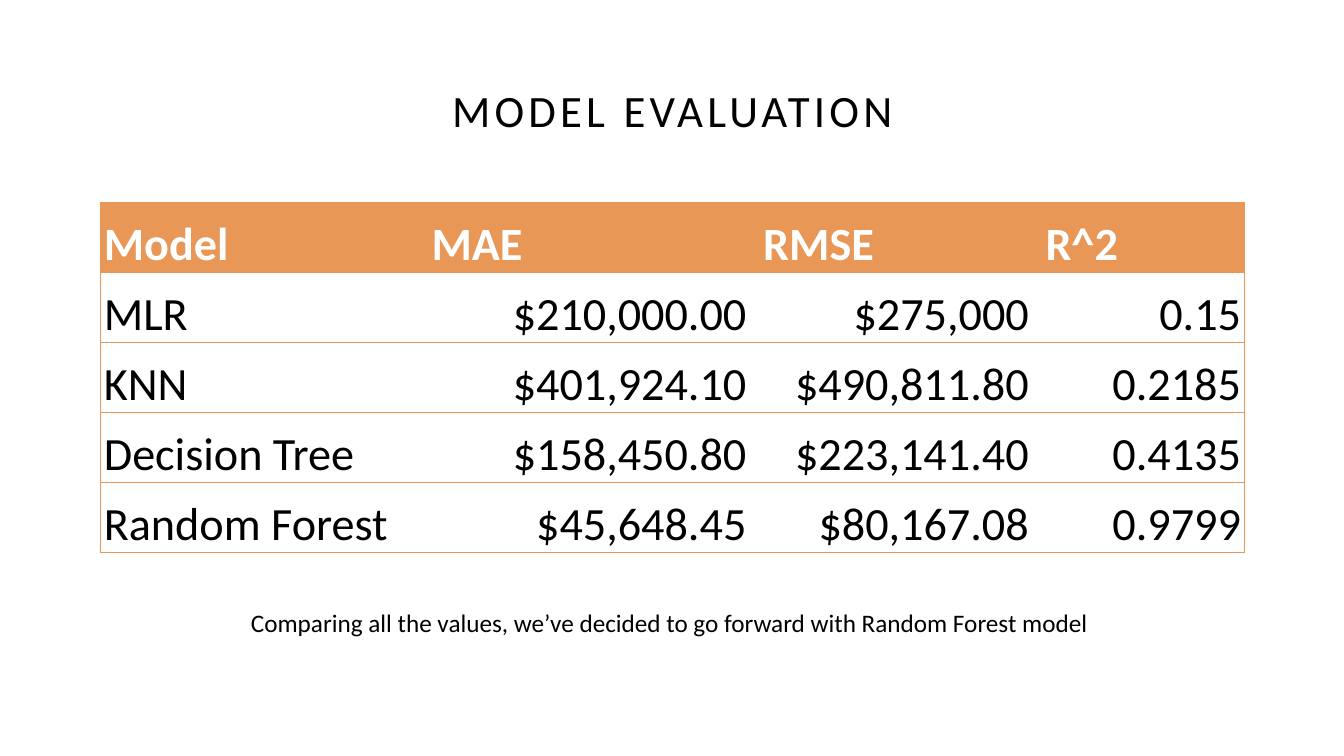
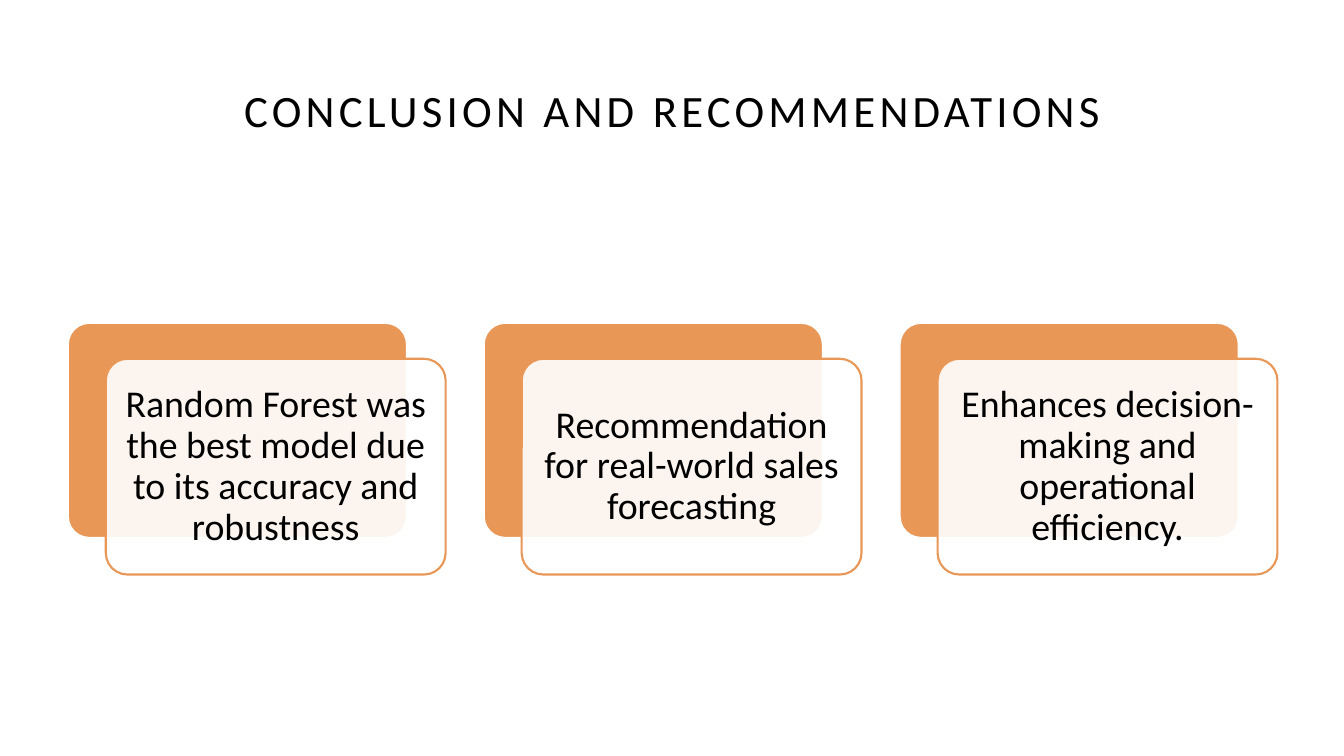
from pptx import Presentation
from pptx.dml.color import RGBColor
from pptx.enum import shapes, text
from pptx.oxml import parse_xml
from pptx.oxml.ns import nsdecls, qn
from pptx.util import Inches, Pt

ORANGE = RGBColor(0xE8, 0x97, 0x56)
WHITE = RGBColor(0xFF, 0xFF, 0xFF)
BLACK = RGBColor(0, 0, 0)
FONT = "Calibri"
LEFT, CENTER, RIGHT = text.PP_ALIGN.LEFT, text.PP_ALIGN.CENTER, text.PP_ALIGN.RIGHT
MIDDLE, BOTTOM = text.MSO_ANCHOR.MIDDLE, text.MSO_ANCHOR.BOTTOM

TITLE_BOX = (0.92, 0.4, 11.5, 1.45)
COLUMN_WIDTHS = (3.25, 3.29, 2.8, 2)
ROW_HEIGHT = 0.695
CARD_W, CARD_H = 3.37, 2.14
CARD_DX, CARD_DY = 0.38, 0.36

MODELS = [
    ("Model", "MAE", "RMSE", "R^2"),
    ("MLR", "$210,000.00 ", "$275,000 ", "0.15"),
    ("KNN", "$401,924.10 ", "$490,811.80 ", "0.2185"),
    ("Decision Tree", "$158,450.80 ", "$223,141.40 ", "0.4135"),
    ("Random Forest", "$45,648.45 ", "$80,167.08 ", "0.9799"),
]
CONCLUSIONS = [
    "Random Forest was the best model due to its accuracy and robustness",
    "Recommendation for real-world sales forecasting",
    "Enhances decision-making and operational efficiency.",
]


def write(tf, content, size, color=BLACK, bold=False, align=LEFT,
          line_spacing=None, tracking=None):
    p = tf.paragraphs[0]
    p.alignment = align
    if line_spacing:
        p.line_spacing = line_spacing
    r = p.add_run()
    r.text = content
    r.font.name = FONT
    r.font.size = Pt(size)
    r.font.bold = bold
    r.font.color.rgb = color
    if tracking:
        r.font._element.set("spc", str(tracking * 100))


def add_text(s, box, content, size, anchor=text.MSO_ANCHOR.TOP, wrap=True, **style):
    sp = s.shapes.add_textbox(*map(Inches, box))
    tf = sp.text_frame
    tf.word_wrap = wrap
    tf.vertical_anchor = anchor
    write(tf, content, size, **style)
    return sp


def add_titled_slide(prs, title):
    s = prs.slides.add_slide(prs.slide_layouts[6])
    add_text(s, TITLE_BOX, title, 32, anchor=MIDDLE, align=CENTER,
             line_spacing=0.9, tracking=3)
    return s


def set_borders(cell, sides):
    """Rule the sides named by the letters in sides, and clear the others."""
    tc_pr = cell._tc.get_or_add_tcPr()
    for i, side in enumerate("LRTB"):
        fill = (f'<a:solidFill><a:srgbClr val="{ORANGE}"/></a:solidFill>'
                if side in sides else "<a:noFill/>")
        tc_pr.insert(i, parse_xml(f'<a:ln{side} {nsdecls("a")} w="12700">{fill}</a:ln{side}>'))


def add_model_table(s, left, top, rows):
    last = len(COLUMN_WIDTHS) - 1
    frame = s.shapes.add_table(len(rows), len(COLUMN_WIDTHS), Inches(left), Inches(top),
                               Inches(sum(COLUMN_WIDTHS)), Inches(ROW_HEIGHT * len(rows)))
    table = frame.table
    table.horz_banding = False
    for column, width in zip(table.columns, COLUMN_WIDTHS):
        column.width = Inches(width)
    for i, values in enumerate(rows):
        header = i == 0
        table.rows[i].height = Inches(ROW_HEIGHT)
        for j, value in enumerate(values):
            cell = table.cell(i, j)
            cell.vertical_anchor = BOTTOM
            cell.margin_left = cell.margin_right = cell.margin_top = Inches(0.03)
            cell.margin_bottom = 0
            cell.fill.solid()
            cell.fill.fore_color.rgb = ORANGE if header else WHITE
            set_borders(cell, "TB" + ("L" if j == 0 else "") + ("R" if j == last else ""))
            write(cell.text_frame, value, 33, color=WHITE if header else BLACK, bold=header,
                  align=LEFT if header or j == 0 else RIGHT)


def add_round_box(s, left, top, fill, line, line_width):
    sp = s.shapes.add_shape(shapes.MSO_SHAPE.ROUNDED_RECTANGLE, Inches(left), Inches(top),
                            Inches(CARD_W), Inches(CARD_H))
    sp.adjustments[0] = 0.1
    sp.shadow.inherit = False
    sp.fill.solid()
    sp.fill.fore_color.rgb = fill
    sp.line.color.rgb = line
    sp.line.width = Pt(line_width)
    return sp


def add_card(s, left, top, content):
    """An orange box with a translucent text box set off over it."""
    add_round_box(s, left, top, ORANGE, WHITE, 2)
    front = add_round_box(s, left + CARD_DX, top + CARD_DY, WHITE, ORANGE, 1.5)
    color = front._element.spPr.find(qn("a:solidFill"))[0]
    color.append(parse_xml(f'<a:alpha {nsdecls("a")} val="90000"/>'))
    tf = front.text_frame
    tf.word_wrap = True
    tf.vertical_anchor = MIDDLE
    tf.margin_left = tf.margin_right = tf.margin_top = tf.margin_bottom = Inches(0.11)
    write(tf, content, 27, align=CENTER, line_spacing=0.9)


def add_card_row(s, left, top, width, contents):
    pitch = (width - CARD_W - CARD_DX) / (len(contents) - 1)
    for i, content in enumerate(contents):
        add_card(s, left + i * pitch, top, content)


def build_evaluation(prs):
    s = add_titled_slide(prs, "MODEL EVALUATION")
    add_model_table(s, 1, 2.01, MODELS)
    caption = add_text(
        s, (2.39, 5.98, 8.55, 0.4),
        "Comparing all the values, we’ve decided to go forward with Random Forest model",
        18, wrap=False)
    caption.text_frame.auto_size = text.MSO_AUTO_SIZE.SHAPE_TO_FIT_TEXT


def build_conclusion(prs):
    s = add_titled_slide(prs, "CONCLUSION AND RECOMMENDATIONS")
    add_card_row(s, 0.67, 3.2, 12, CONCLUSIONS)


def main():
    prs = Presentation()
    prs.slide_width, prs.slide_height = Inches(13.33), Inches(7.5)
    build_evaluation(prs)
    build_conclusion(prs)
    prs.save("out.pptx")


if __name__ == "__main__":
    main()
